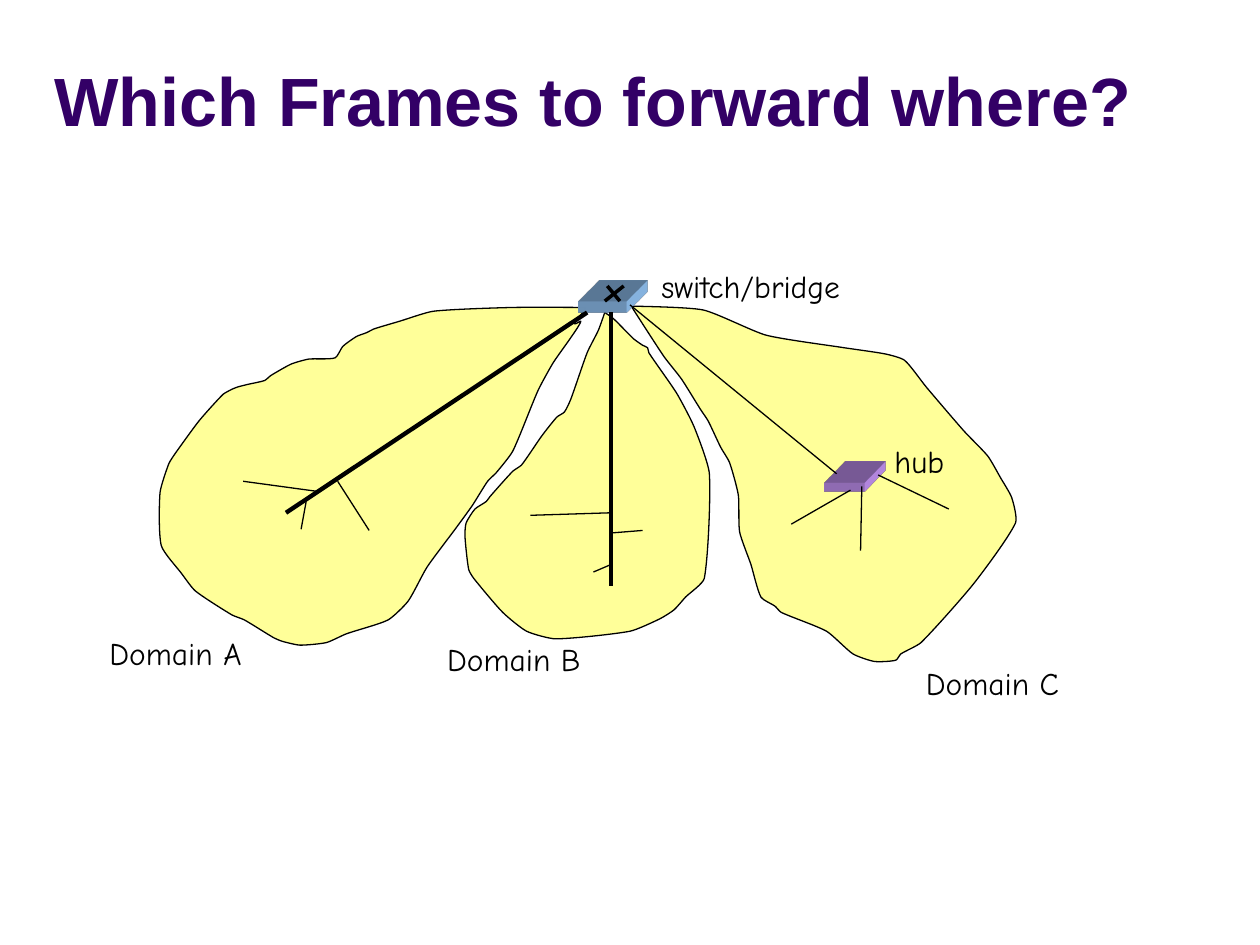
from math import hypot

from lxml import etree
from pptx import Presentation
from pptx.dml.color import RGBColor
from pptx.enum.shapes import MSO_CONNECTOR as LINK, MSO_SHAPE as SHAPE
from pptx.enum.text import MSO_ANCHOR as ANCHOR
from pptx.oxml import parse_xml
from pptx.oxml.ns import nsdecls, qn
from pptx.util import Inches, Pt

BLACK, YELLOW, BLUE, PURPLE = "000000", "FFFF99", "99CCFF", "CC99FF"
ROUND = 0.2  # length of a curve handle, as a share of its segment

# Outlines, in grid cells from the corner of each domain
AREA_A = [
    (338, 12), (280, 12), (217, 15), (190, 23), (170, 29), (164, 32), (156, 35),
    (145, 43), (139, 52), (118, 53), (104, 57), (88, 66), (83, 70), (70, 73),
    (62, 75), (57, 77), (50, 81), (31, 102), (12, 128), (7, 136), (0, 159),
    (1, 201), (17, 223), (28, 237), (57, 256), (67, 260), (90, 274), (97, 277),
    (111, 280), (132, 278), (148, 271), (181, 260), (197, 245), (212, 218),
    (235, 187), (248, 169), (260, 150), (267, 143), (280, 126), (300, 78),
    (312, 56), (326, 36), (334, 23), (329, 25), (332, 21)]
AREA_B = [
    (111, 0), (106, 14), (97, 32), (84, 69), (79, 79), (73, 83), (61, 98),
    (45, 121), (38, 126), (20, 146), (17, 150), (8, 156), (1, 167), (0, 177),
    (3, 204), (7, 211), (30, 238), (49, 253), (72, 259), (131, 253), (155, 243),
    (166, 236), (175, 226), (190, 211), (194, 128), (182, 91), (168, 64),
    (146, 32), (145, 28), (141, 26), (134, 21), (118, 5)]
AREA_C = [
    (0, 0), (26, 40), (40, 58), (55, 82), (61, 91), (71, 112), (78, 124),
    (85, 150), (86, 179), (95, 205), (103, 231), (114, 238), (119, 243),
    (155, 258), (176, 276), (193, 282), (210, 281), (214, 276), (230, 267),
    (272, 220), (305, 172), (302, 152), (293, 136), (283, 119), (264, 99),
    (234, 64), (217, 43), (202, 38), (169, 33), (107, 23), (57, 3)]


def cell(n):
    """Turn grid cells into a length; the slide is 1000 by 750 cells."""
    return Inches(n / 100)


def color(code):
    return RGBColor.from_string(code)


def paint(shape, fill):
    shape.shadow.inherit = False
    shape.fill.solid()
    shape.fill.fore_color.rgb = color(fill)


def bend(shape):
    """Turn the straight segments of a closed outline into curves."""
    track = next(shape._element.iter(qn("a:path")))
    spots = [(int(p.get("x")), int(p.get("y"))) for p in track.iter(qn("a:pt"))]
    last = len(spots) - 1

    def handle(i, size):
        if i in (0, last):
            return 0, 0
        (a, b), (c, d) = spots[i - 1], spots[i + 1]
        share = ROUND * size / hypot(c - a, d - b)
        return (c - a) * share, (d - b) * share

    for i, step in enumerate(track.findall(qn("a:lnTo"))):
        (a, b), (c, d) = spots[i], spots[i + 1]
        size = hypot(c - a, d - b)
        (p, q), (r, s) = handle(i, size), handle(i + 1, size)
        arc = etree.Element(qn("a:cubicBezTo"))
        for x, y in ((a + p, b + q), (c - r, d - s), (c, d)):
            etree.SubElement(arc, qn("a:pt"), x=str(round(x)), y=str(round(y)))
        track.replace(step, arc)


def outline(slide, x, y, area):
    spots = [(cell(x + a), cell(y + b)) for a, b in area]
    pen = slide.shapes.build_freeform(*spots[0])
    pen.add_line_segments(spots[1:] + spots[:1], close=True)
    shape = pen.convert_to_shape()
    bend(shape)
    paint(shape, YELLOW)
    shape.line.color.rgb = color(BLACK)
    shape.line.width = Pt(0.75)


def wire(slide, x, y, ends, width=0.75):
    """Draw a line between two spots given from the corner x, y."""
    a, b, c, d = ends
    link = slide.shapes.add_connector(
        LINK.STRAIGHT, cell(x + a), cell(y + b), cell(x + c), cell(y + d))
    link.line.color.rgb = color(BLACK)
    link.line.width = Pt(width)
    props = link._element.spPr
    props.append(props.makeelement(qn("a:effectLst"), {}))


def write(slide, box, text, font="Comic Neue", size=18, ink=BLACK, bold=False):
    frame = slide.shapes.add_textbox(*map(cell, box)).text_frame
    frame.word_wrap = bold
    frame.text = text
    face = frame.paragraphs[0].runs[0].font
    face.name, face.size, face.bold = font, Pt(size), bold
    face.color.rgb = color(ink)
    return frame


def device(slide, box, fill):
    """Draw a block that reaches back to the upper right."""
    shape = slide.shapes.add_shape(SHAPE.RECTANGLE, *map(cell, box))
    paint(shape, fill)
    shape.line.fill.background()
    space = nsdecls("a")
    for part in (
            f'<a:scene3d {space}><a:camera prst="legacyObliqueTopRight"/>'
            '<a:lightRig rig="legacyFlat3" dir="b"/></a:scene3d>',
            f'<a:sp3d {space} extrusionH="430200" prstMaterial="legacyMatte">'
            f'<a:extrusionClr><a:srgbClr val="{fill}"/></a:extrusionClr></a:sp3d>'):
        shape._element.spPr.append(parse_xml(part))


def domain(slide, x, y, area, wires, label, spot):
    outline(slide, x, y, area)
    for ends in wires:
        wire(slide, x, y, ends)
    dx, dy, w, h = spot
    frame = write(slide, (x + dx, y + dy, w, h), label)
    frame.vertical_anchor = ANCHOR.BOTTOM


def switch(slide, x, y):
    device(slide, (x, y, 38, 9), BLUE)
    for ends in ((23, -12, 33, 0), (36, -12, 21, 0)):
        wire(slide, x, y, ends, 2)
    for ends in ((7, 9, -232, 168), (26, 9, 26, 226)):
        wire(slide, x, y, ends, 2.5)
    wire(slide, x, y, (205, 137, 41, 3))
    write(slide, (x + 56, y - 32, 184, 40), "switch/bridge")


def hub(slide, x, y):
    device(slide, (x, y, 32, 7), PURPLE)
    for ends in ((21, 6, -26, 33), (30, 3, 29, 54), (43, -6, 99, 21)):
        wire(slide, x, y, ends)
    write(slide, (x + 46, y - 37, 62, 40), "hub")


def main():
    deck = Presentation()
    deck.slide_width, deck.slide_height = cell(1000), cell(750)
    slide = deck.slides.add_slide(deck.slide_layouts[6])
    title = write(slide, (33.5, 41.5, 882, 75), "Which Frames to forward where?",
                  "Arial", 39, "330066", True)
    title.vertical_anchor = ANCHOR.BOTTOM
    domain(slide, 501, 243, AREA_C, [], "Domain C", (224, 248, 127, 71))
    domain(slide, 369, 248, AREA_B,
           [(116, 159, 52, 161), (116, 200, 102, 206), (116, 175, 141, 173)],
           "Domain B", (-24, 255, 128, 40))
    domain(slide, 127, 232, AREA_A,
           [(125, 158, 66, 150), (116, 166, 112, 188), (141, 150, 166, 189)],
           "Domain A", (-50, 266, 131, 40))
    hub(slide, 654, 383)
    switch(slide, 459, 239)
    deck.save("out.pptx")


if __name__ == "__main__":
    main()
